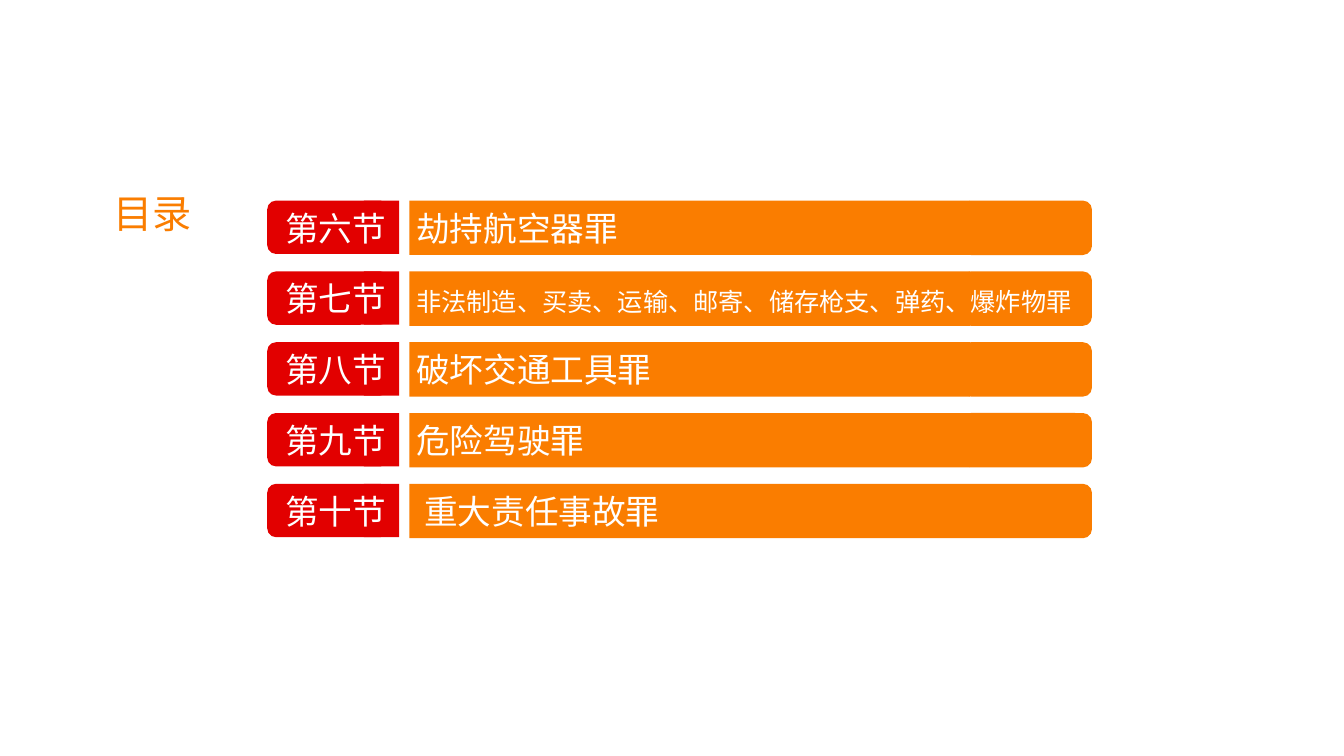
"""Build a contents slide listing sections six to ten as red and orange bars."""
from pptx import Presentation, util as u
from pptx.dml.color import RGBColor
from pptx.enum import shapes, text
from pptx.oxml.ns import qn
from lxml import etree

HEADING = "目录"
SECTIONS = [
    [("第六节", "劫持航空器罪")],
    [("第七节", "非法制造、买卖、运输、邮寄、储存枪支、弹药、爆炸物罪")],
    [("第八节", "破坏交通工具罪")],
    [("第九节", "危险驾驶罪")],
    [("第十节",), ("重大责任事故罪",)],
]
THEME = {"font": "Noto Sans CJK SC", "red": "E20000", "orange": "FA7D00", "white": "FFFFFF",
         "heading": 28, "body": 24, "small": 18}
LONG_TITLE = 15
FIRST_TOP, LAST_TOP = 1.99, 4.8
PITCH = (LAST_TOP - FIRST_TOP) / (len(SECTIONS) - 1)
LABEL_H, TITLE_H, TEXT_H = 0.53, 0.54, 0.5
TEXT_LEFT, TITLE_LEFT, TEXT_RIGHT = 2.73, 4.11, 10.88
TITLE_TAB = 1.3
RECT, ROUND = shapes.MSO_SHAPE.RECTANGLE, shapes.MSO_SHAPE.ROUNDED_RECTANGLE


def add_bar(parent, kind, left, top, width, height, color):
    sp = parent.add_shape(kind, *map(u.Inches, (left, top, width, height)))
    sp.shadow.inherit = False
    sp.fill.solid()
    sp.fill.fore_color.rgb = RGBColor.from_string(THEME[color])
    sp.line.fill.background()


def add_text(s, runs, left, top, width, height, color="white", tab=None):
    tf = s.shapes.add_textbox(*map(u.Inches, (left, top, width, height))).text_frame
    tf.word_wrap = True
    tf.auto_size = text.MSO_AUTO_SIZE.SHAPE_TO_FIT_TEXT
    p = tf.paragraphs[0]
    if tab:
        tabs = etree.SubElement(p._p.get_or_add_pPr(), qn("a:tabLst"))
        etree.SubElement(tabs, qn("a:tab"), pos=str(u.Inches(tab)), algn="l")
    for words, size in runs:
        r = p.add_run()
        r.text = words
        r.font.size = u.Pt(THEME[size])
        r.font.name = THEME["font"]
        r.font.color.rgb = RGBColor.from_string(THEME[color])
        etree.SubElement(r._r.get_or_add_rPr(), qn("a:ea"), typeface=THEME["font"])


def add_section(s, boxes, top):
    add_bar(s.shapes, ROUND, 9.54, top, 1.29, TITLE_H, "orange")
    group = s.shapes.add_group_shape().shapes
    add_bar(group, ROUND, 2.65, top, 1.21, LABEL_H, "red")
    add_bar(group, RECT, 3.61, top, 0.35, LABEL_H, "red")
    add_bar(group, RECT, 4.06, top, 5.56, TITLE_H, "orange")
    lefts = [TEXT_LEFT, TITLE_LEFT][:len(boxes)]
    rights = lefts[1:] + [TEXT_RIGHT]
    for words, left, right in zip(boxes, lefts, rights):
        runs = [(("\t" if i else "") + w, "small" if len(w) > LONG_TITLE else "body")
                for i, w in enumerate(words)]
        add_text(s, runs, left, top + 0.02, right - left, TEXT_H,
                 tab=TITLE_TAB if len(words) > 1 else None)


def main():
    prs = Presentation()
    prs.slide_width, prs.slide_height = u.Inches(13.33), u.Inches(7.5)
    s = prs.slides.add_slide(prs.slide_layouts[6])
    add_text(s, [(HEADING, "heading")], 1.03, 1.83, 0.99, 0.57, color="orange")
    for row, boxes in enumerate(SECTIONS):
        add_section(s, boxes, FIRST_TOP + row * PITCH)
    prs.save("out.pptx")


if __name__ == "__main__":
    main()
